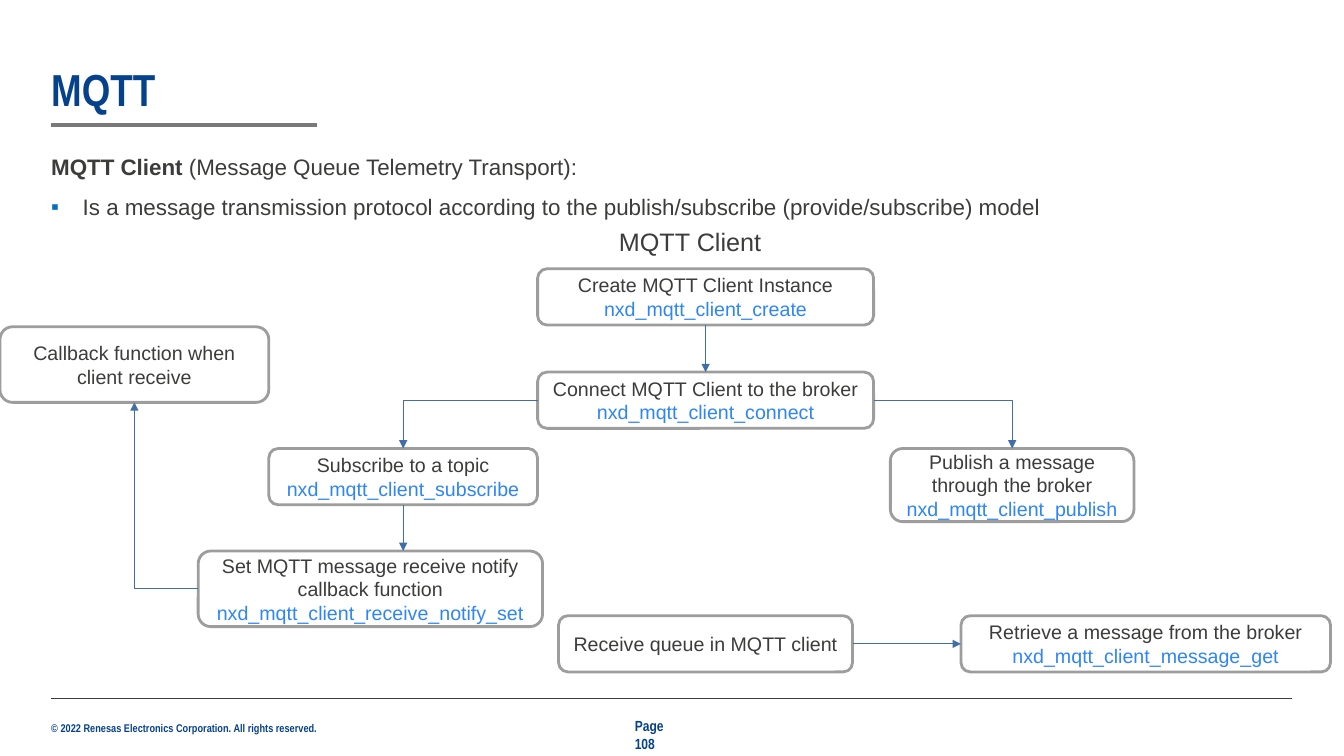
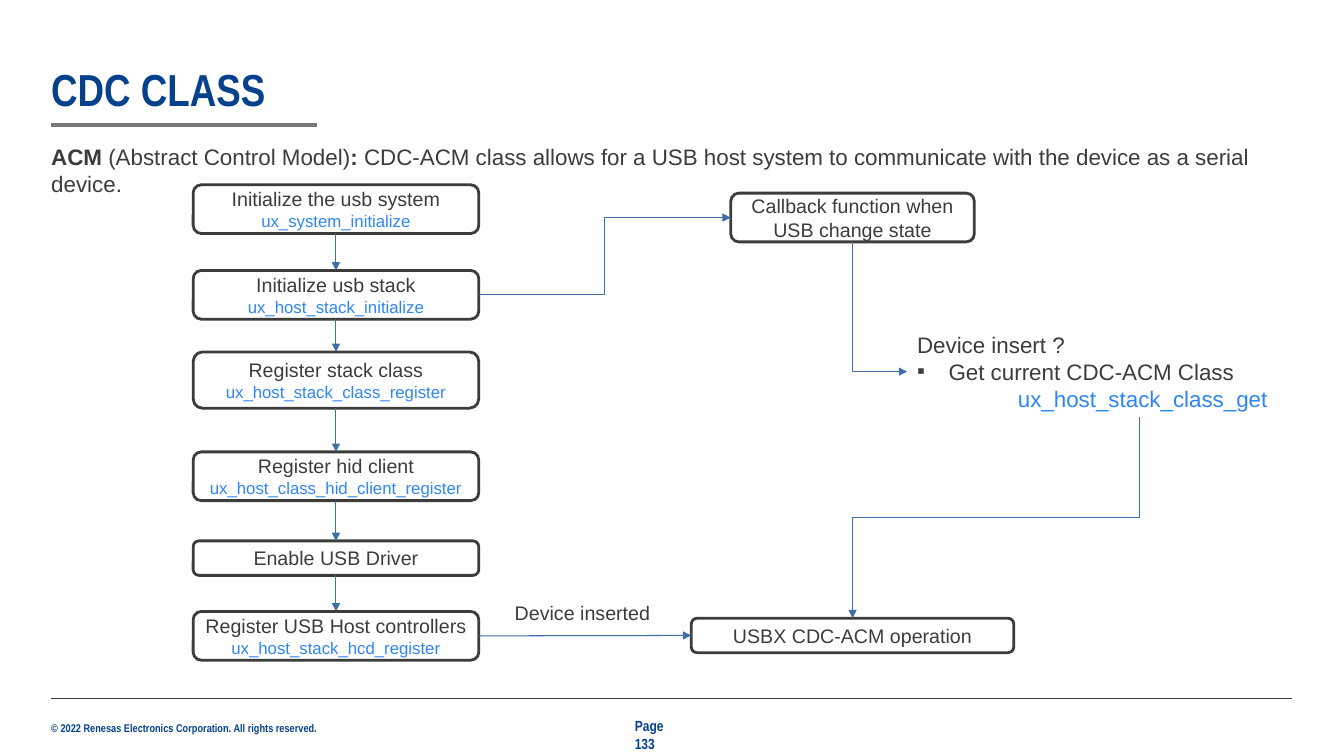
"""Build two flow chart slides on a square grid of 160 columns and 90 rows."""
from dataclasses import dataclass
from typing import Any

import lxml.etree
import pptx
import pptx.dml.color
import pptx.enum.shapes
import pptx.enum.text
import pptx.oxml.ns
import pptx.util

COLS, ROWS = 160, 90
UNIT = pptx.util.Inches(1 / 12)
LEFT = pptx.enum.text.PP_ALIGN.LEFT
MID = pptx.enum.text.PP_ALIGN.CENTER
Point = tuple[float, float]


@dataclass(frozen=True)
class Theme:
    """Colours, fonts and type sizes."""
    navy: str = "06418C"
    ink: str = "3C3C3B"
    call: str = "2E86F6"
    dot: str = "0070C0"
    arrow: str = "406EA8"
    bar: str = "797979"
    gray: str = "9D9D9D"
    white: str = "FFFFFF"
    body: str = "Arial"
    head: str = "Arial Narrow"
    title: float = 32
    label: float = 18
    text: float = 16
    node: float = 14
    small: float = 12
    page: float = 10.5
    foot: float = 8


THEME = Theme()


@dataclass(frozen=True)
class Line:
    """A paragraph; with mix, its words turn from bold to regular and back."""
    words: tuple[str, ...]
    size: float = THEME.text
    color: str = THEME.ink
    font: str = THEME.body
    bold: bool = False
    mix: bool = False
    align: Any = LEFT
    inset: float = 0
    dot: str = ""
    lead: float = 1.0


@dataclass(frozen=True)
class Area:
    """A rectangle in grid units."""
    x: float
    y: float
    w: float
    h: float

    @property
    def top(self) -> Point:
        return self.x + self.w / 2, self.y

    @property
    def base(self) -> Point:
        return self.x + self.w / 2, self.y + self.h

    @property
    def left(self) -> Point:
        return self.x, self.y + self.h / 2

    @property
    def right(self) -> Point:
        return self.x + self.w, self.y + self.h / 2


@dataclass(frozen=True)
class Node(Area):
    """A flow chart step with the function it calls."""
    text: str
    call: str = ""


@dataclass(frozen=True)
class Link:
    """An arrow with some bends; down means it leaves vertically."""
    start: Point
    end: Point
    bends: int = 0
    down: bool = False


def rgb(code: str) -> pptx.dml.color.RGBColor:
    """Turn a hex code into a colour."""
    return pptx.dml.color.RGBColor.from_string(code)


def span(*units: float) -> list[int]:
    """Turn grid units into lengths."""
    return [round(unit * UNIT) for unit in units]


def add(root: Any, tag: str, **attrs: str) -> Any:
    """Append a drawing element."""
    return lxml.etree.SubElement(root, pptx.oxml.ns.qn(tag), **attrs)


def write(frame: Any, lines: list[Line], pad: bool = True, anchor: str = "TOP") -> None:
    """Set the paragraphs of a text frame."""
    frame.word_wrap = True
    frame.auto_size = pptx.enum.text.MSO_AUTO_SIZE.NONE
    frame.vertical_anchor = pptx.enum.text.MSO_ANCHOR[anchor]
    if not pad:
        frame.margin_left = frame.margin_right = 0
        frame.margin_top = frame.margin_bottom = 0
    for num, line in enumerate(lines):
        para = frame.add_paragraph() if num else frame.paragraphs[0]
        props = para._p.get_or_add_pPr()
        inset = span(line.inset)[0]
        props.set("marL", str(inset))
        props.set("indent", str(-inset if line.dot else 0))
        if line.dot:
            add(add(props, "a:buClr"), "a:srgbClr", val=line.dot)
            add(props, "a:buFont", typeface=THEME.body)
            add(props, "a:buChar", char="▪")
        else:
            add(props, "a:buNone")
        para.alignment = line.align
        para.line_spacing = line.lead
        para.space_before = pptx.util.Pt(0)
        font = para.font
        font.name, font.size = line.font, pptx.util.Pt(line.size)
        font.color.rgb = rgb(line.color)
        if not line.mix:
            font.bold = line.bold
        for pos, word in enumerate(line.words):
            run = para.add_run()
            run.text = word
            if line.mix:
                run.font.bold = pos % 2 == 0


def label(slide: Any, area: Area, lines: list[Line], pad: bool = True) -> None:
    """Add a text box."""
    box = slide.shapes.add_textbox(*span(area.x, area.y, area.w, area.h))
    write(box.text_frame, lines, pad)


def rule(slide: Any, start: Point, end: Point, color: str, width: float, bent: bool = False) -> Any:
    """Add a line without a shadow."""
    kinds = pptx.enum.shapes.MSO_CONNECTOR
    kind = kinds.ELBOW if bent else kinds.STRAIGHT
    line = slide.shapes.add_connector(kind, *span(*start, *end))
    line.line.color.rgb = rgb(color)
    line.line.width = pptx.util.Pt(width)
    add(line._element.spPr, "a:effectLst")
    return line


def join(slide: Any, link: Link) -> None:
    """Draw an arrow, turned by a quarter if it leaves downwards."""
    (x1, y1), (x2, y2) = start, end = link.start, link.end
    side = 1 if x2 > x1 else -1
    if link.down:
        mid, level = (x1 + x2) / 2, (y1 + y2) / 2
        half, rise = side * (y2 - y1) / 2, abs(x2 - x1) / 2
        start, end = (mid + half, level - rise), (mid - half, level + rise)
    line = rule(slide, start, end, THEME.arrow, 0.75, link.bends > 0)
    props = line._element.spPr
    if link.down:
        turn = 270 if side > 0 else 90
        props.find(pptx.oxml.ns.qn("a:xfrm")).set("rot", str(turn * 60000))
    if link.bends == 1:
        props.find(pptx.oxml.ns.qn("a:prstGeom")).set("prst", "bentConnector2")
    add(props.find(pptx.oxml.ns.qn("a:ln")), "a:tailEnd", type="triangle")


def draw(slide: Any, node: Node, edge: str, size: float) -> None:
    """Draw a step of the flow chart."""
    kind = pptx.enum.shapes.MSO_SHAPE.ROUNDED_RECTANGLE
    box = slide.shapes.add_shape(kind, *span(node.x, node.y, node.w, node.h))
    box.shadow.inherit = False
    box.fill.solid()
    box.fill.fore_color.rgb = rgb(THEME.white)
    box.line.color.rgb = rgb(edge)
    box.line.width = pptx.util.Pt(2)
    lines = [Line((node.text,), THEME.node, align=MID)]
    if node.call:
        lines.append(Line((node.call,), size, THEME.call, align=MID))
    write(box.text_frame, lines, anchor="MIDDLE")


def place(shape: Any, area: Area) -> None:
    """Move a placeholder."""
    shape.left, shape.top, shape.width, shape.height = span(area.x, area.y, area.w, area.h)


def base(deck: Any, title: str, page: int, top: float, body: list[Line]) -> Any:
    """Add a slide with title, body, rules and footer."""
    slide = deck.slides.add_slide(deck.slide_layouts[1])
    head, text = slide.placeholders
    place(head, Area(6.1, 8, 147.7, 5.8))
    style = Line((title,), THEME.title, THEME.navy, THEME.head, True, lead=0.9)
    write(head.text_frame, [style], False, "BOTTOM")
    place(text, Area(6.1, top, 147.7, 9))
    write(text.text_frame, body, False)
    rule(slide, (6.1, 83.1), (153.8, 83.1), THEME.ink, 0.5)
    rule(slide, (6.1, 14.9), (37.7, 14.9), THEME.bar, 3)
    note = "© 2022 Renesas Electronics Corporation. All rights reserved."
    label(slide, Area(6.1, 85.9, 36, 1.6),
          [Line((note,), THEME.foot, THEME.navy, THEME.head, True)], False)
    label(slide, Area(74.4, 84.8, 8, 3.4),
          [Line((f"Page {page}",), THEME.page, THEME.navy, THEME.head, True)])
    return slide


def chart(slide: Any, nodes: list[Node], links: list[Link], edge: str, size: float) -> None:
    """Draw all steps and arrows."""
    for node in nodes:
        draw(slide, node, edge, size)
    for link in links:
        join(slide, link)


def queue(deck: Any) -> None:
    """Build the MQTT slide."""
    slide = base(deck, "MQTT", 108, 16.6, [
        Line(("MQTT Client", " (Message Queue Telemetry Transport):"), mix=True, lead=1.5),
        Line(("Is a message transmission protocol according to the publish/subscribe "
              "(provide/subscribe) model",), inset=3.75, dot=THEME.dot, lead=1.5)])
    label(slide, Area(72.5, 26.4, 22, 5), [Line(("MQTT Client",), THEME.label)])
    nodes = [
        Node(64, 32, 40, 6.7, "Create MQTT Client Instance", "nxd_mqtt_client_create"),
        Node(64, 44.3, 40, 6.7, "Connect MQTT Client to the broker", "nxd_mqtt_client_connect"),
        Node(32, 53.4, 32, 6.7, "Subscribe to a topic", "nxd_mqtt_client_subscribe"),
        Node(106, 53.4, 29, 8.7, "Publish a message through the broker",
             "nxd_mqtt_client_publish"),
        Node(23.6, 65.6, 41, 9, "Set MQTT message receive notify callback function",
             "nxd_mqtt_client_receive_notify_set"),
        Node(66.5, 73.3, 35, 6.7, "Receive queue in MQTT client"),
        Node(114.4, 73.3, 44, 6.7, "Retrieve a message from the broker",
             "nxd_mqtt_client_message_get"),
        Node(0, 38.9, 32, 9, "Callback function when client receive")]
    make, bind, topic, send, alert, store, fetch, back = nodes
    links = [
        Link(make.base, bind.top), Link(bind.left, topic.top, 1),
        Link(bind.right, send.top, 1), Link(topic.base, (topic.base[0], alert.y)),
        Link(store.right, fetch.left), Link(alert.left, back.base, 1)]
    chart(slide, nodes, links, THEME.gray, THEME.node)


def serial(deck: Any) -> None:
    """Build the CDC slide."""
    slide = base(deck, "CDC CLASS", 133, 17, [
        Line(("ACM ", "(Abstract Control Model)", ": ",
              "CDC-ACM class allows for a USB host system to communicate with the device "
              "as a serial device."), mix=True)])
    steps = [Node(23, y, 34, h, text, call) for y, h, text, call in (
        (22, 5.8, "Initialize the usb system", "ux_system_initialize"),
        (32.2, 5.8, "Initialize usb stack", "ux_host_stack_initialize"),
        (41.9, 6.7, "Register stack class", "ux_host_stack_class_register"),
        (53.8, 5.8, "Register hid client", "ux_host_class_hid_client_register"),
        (64.4, 4.1, "Enable USB Driver", ""),
        (72.8, 5.8, "Register USB Host controllers", "ux_host_stack_hcd_register"))]
    back = Node(87, 23, 29, 5.8, "Callback function when USB change state")
    work = Node(82.3, 73.6, 38.4, 4.1, "USBX CDC-ACM operation")
    ask = Area(108, 38.8, 55.4, 10.9)
    links = [Link(one.base, two.top) for one, two in zip(steps, steps[1:])]
    links += [
        Link(steps[1].right, back.left, 2), Link(back.base, ask.left, 1, True),
        Link(steps[-1].right, work.left), Link(ask.base, work.top, 2, True)]
    chart(slide, [*steps, back, work], links, THEME.ink, THEME.small)
    label(slide, ask, [
        Line(("Device insert ?",)),
        Line(("Get current CDC-ACM Class",), inset=3.75, dot=THEME.ink),
        Line(("ux_host_stack_class_get",), color=THEME.call, inset=12)])
    label(slide, Area(60.1, 71, 20, 4), [Line(("Device inserted",), THEME.node)])


def main() -> None:
    """Build and save the deck."""
    deck = pptx.Presentation()
    deck.slide_width, deck.slide_height = span(COLS, ROWS)
    queue(deck)
    serial(deck)
    deck.save("out.pptx")


if __name__ == "__main__":
    main()
